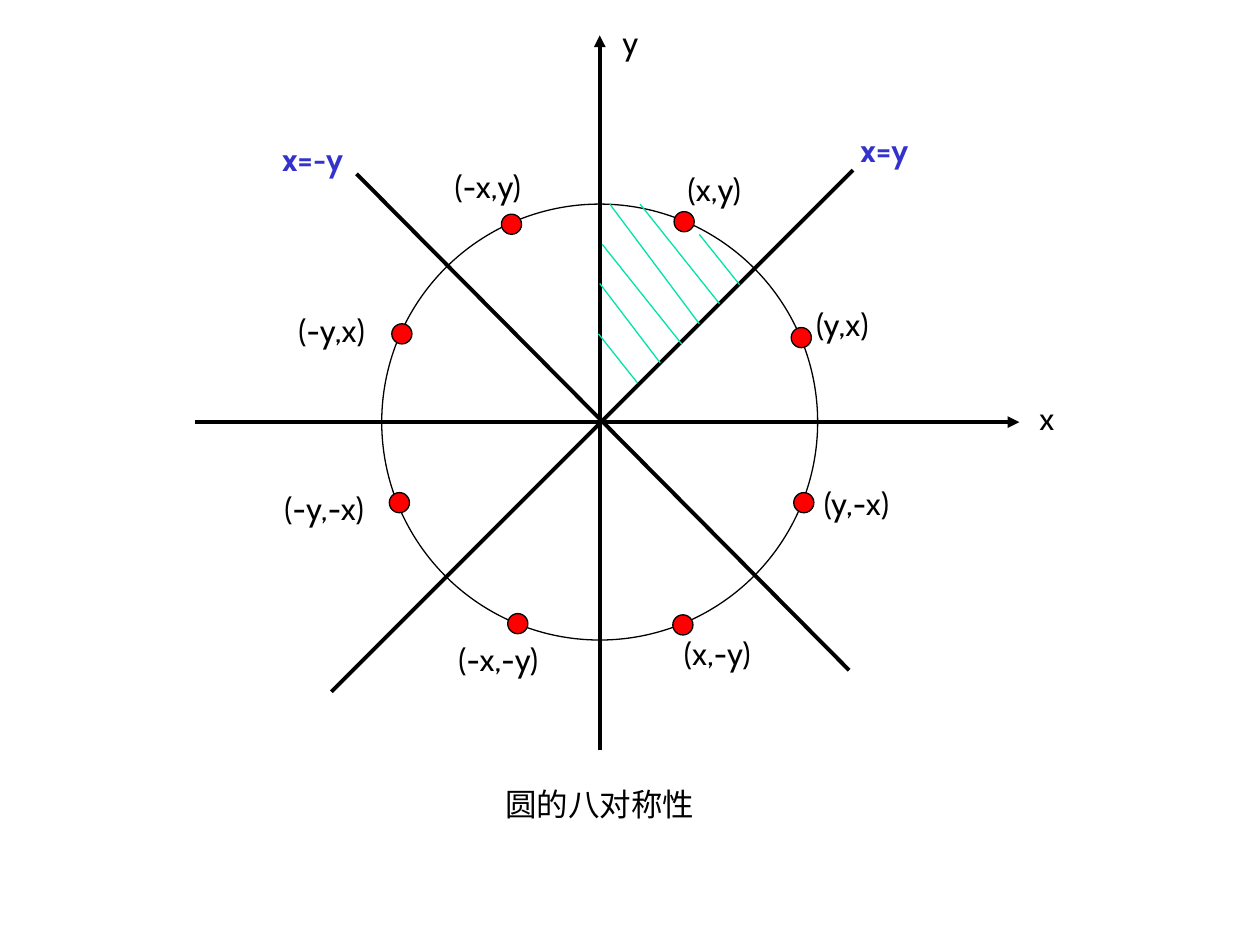
from lxml import etree
from pptx import Presentation
from pptx.dml.color import RGBColor
from pptx.enum.shapes import MSO_CONNECTOR, MSO_SHAPE
from pptx.oxml.ns import qn
from pptx.util import Inches, Pt

OVAL = MSO_SHAPE.OVAL
LINE = MSO_CONNECTOR.STRAIGHT
COLORS = {"ink": "000000", "dot": "FF0000", "blue": "3333CC", "hatch": "00E4A8"}
FONT = "Cabin"
DOT = 0.16

AXES = [(-3.21, 0, 3.33, 0), (0, 2.6, 0, -3.07)]
DIAGS = [(-2.13, 2.14, 2.01, -2), (-1.93, -1.97, 1.98, 1.97)]
POINTS = [
    ("(-x,y)", (-0.7, -1.57), (-1.25, -2.07)),
    ("(-y,-x)", (-1.59, 0.64), (-2.6, 0.48)),
    ("(-y,x)", (-1.57, -0.7), (-2.49, -0.93)),
    ("(y,x)", (1.6, -0.67), (1.62, -0.98)),
    ("(x,y)", (0.67, -1.59), (0.6, -2.05)),
    ("(-x,-y)", (-0.65, 1.6), (-1.22, 1.68)),
    ("(x,-y)", (0.66, 1.61), (0.57, 1.63)),
    ("(y,-x)", (1.62, 0.64), (1.68, 0.44)),
]
HATCHES = [
    (0.32, -1.73, 0.95, -0.94),
    (0.08, -1.73, 0.79, -0.78),
    (0.02, -1.41, 0.65, -0.62),
    (0, -1.1, 0.48, -0.47),
    (-0.01, -0.7, 0.3, -0.31),
    (0.79, -1.49, 1.11, -1.09),
]


def rgb(name):
    return RGBColor.from_string(COLORS[name])


def add_text(slide, text, x, y, width=0.94, color="ink", bold=False):
    box = slide.shapes.add_textbox(Inches(x), Inches(y), Inches(width), Inches(0.4))
    frame = box.text_frame
    frame.word_wrap = True
    run = frame.paragraphs[0].add_run()
    run.text = text
    run.font.name = FONT
    run.font.size = Pt(18)
    run.font.bold = bold
    run.font.color.rgb = rgb(color)


def add_line(slide, ends, mid, color="ink", width=2.25, arrow=False):
    x1, y1, x2, y2 = ends
    cx, cy = mid
    line = slide.shapes.add_connector(
        LINE, Inches(cx + x1), Inches(cy + y1), Inches(cx + x2), Inches(cy + y2))
    line.line.color.rgb = rgb(color)
    line.line.width = Pt(width)
    if arrow:
        etree.SubElement(line.line._get_or_add_ln(), qn("a:tailEnd"), type="triangle")
    etree.SubElement(line._element.spPr, qn("a:effectLst"))


def add_oval(slide, x, y, size, fill=None):
    oval = slide.shapes.add_shape(OVAL, Inches(x), Inches(y), Inches(size), Inches(size))
    oval.shadow.inherit = False
    if fill:
        oval.fill.solid()
        oval.fill.fore_color.rgb = rgb(fill)
    else:
        oval.fill.background()
    oval.line.color.rgb = rgb("ink")
    oval.line.width = Pt(0.75)


def add_frame(slide, left, top, size):
    mid = cx, cy = left + size / 2, top + size / 2
    add_oval(slide, left, top, size)
    for ends in AXES:
        add_line(slide, ends, mid, arrow=True)
    for ends in DIAGS:
        add_line(slide, ends, mid)
    add_text(slide, "x=y", cx + 1.97, cy - 2.36, color="blue", bold=True)
    add_text(slide, "x=-y", cx - 2.62, cy - 2.29, color="blue", bold=True)
    add_text(slide, "x", cx + 3.39, cy - 0.23, width=0.32)
    add_text(slide, "y", cx + 0.08, cy - 3.22, width=0.32)


def add_points(slide, left, top, size):
    cx, cy = left + size / 2, top + size / 2
    for text, (x, y), (tx, ty) in POINTS:
        add_oval(slide, cx + x - DOT / 2, cy + y - DOT / 2, DOT, fill="dot")
        add_text(slide, text, cx + tx, cy + ty)


def add_sector(slide, left, top, size):
    mid = left + size / 2, top + size / 2
    for ends in HATCHES:
        add_line(slide, ends, mid, color="hatch", width=0.75)


def main():
    deck = Presentation()
    deck.slide_width, deck.slide_height = Inches(10), Inches(7.5)
    slide = deck.slides.add_slide(deck.slide_layouts[6])
    circle = 3.03, 1.62, 3.46
    add_frame(slide, *circle)
    add_points(slide, *circle)
    add_text(slide, "圆的八对称性", 3.91, 6.18, width=1.81)
    add_sector(slide, *circle)
    deck.save("out.pptx")


if __name__ == "__main__":
    main()
